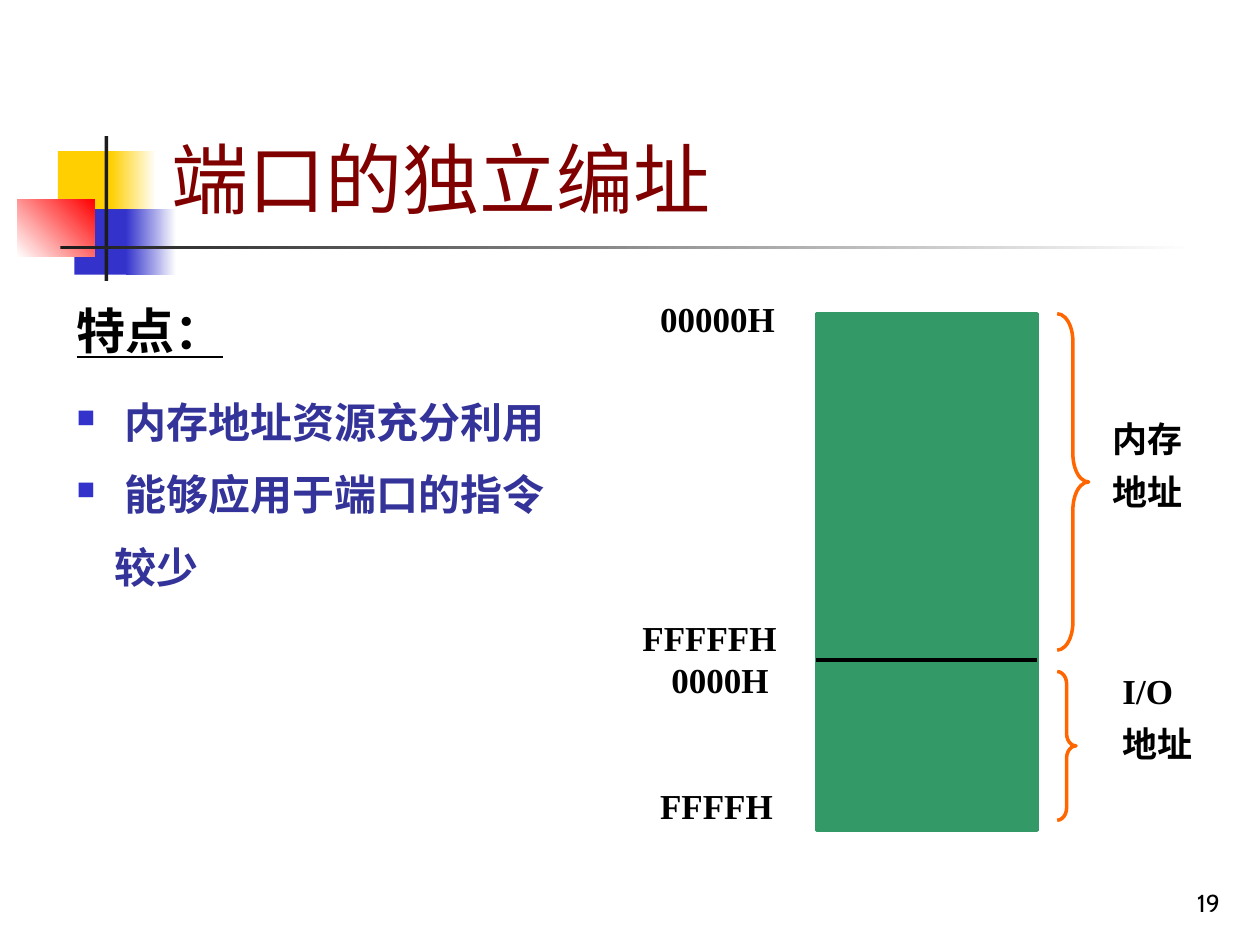
from typing import NamedTuple, Optional

from lxml.etree import SubElement
from pptx import Presentation
from pptx.dml.color import RGBColor
from pptx.enum.shapes import MSO_CONNECTOR, MSO_SHAPE
from pptx.enum.text import MSO_ANCHOR, PP_ALIGN
from pptx.oxml.ns import qn
from pptx.util import Inches, Pt

COLORS = {
    "white": "FFFFFF", "black": "000000", "charcoal": "1C1C1C",
    "yellow": "FFCF01", "blue": "3333CC", "red": "FF0000",
    "maroon": "800000", "indigo": "333399", "green": "339966", "orange": "FF6600",
}
SERIF = "Times New Roman"


class Block(NamedTuple):
    left: float
    top: float
    width: float
    height: float
    color: str
    fade_to: Optional[str] = None
    angle: float = 0


class Brace(NamedTuple):
    top: float
    width: float
    height: float
    curve: float


class Label(NamedTuple):
    left: float
    top: float
    width: float
    height: float
    lines: tuple


ORNAMENT = (
    Block(0.46, 1.2, 0.48, 0.52, "yellow"),
    Block(0.88, 1.2, 0.36, 0.52, "yellow", "white"),
    Block(0.59, 1.66, 0.46, 0.52, "blue"),
    Block(1, 1.66, 0.4, 0.52, "blue", "white"),
    Block(0.14, 1.58, 0.61, 0.46, "white", "red", 45),
    Block(0.83, 1.08, 0.03, 1.15, "charcoal"),
    Block(0.48, 1.95, 9, 0.03, "charcoal", "white"),
)
BRACES = (Brace(2.49, 0.25, 2.67, 0.883), Brace(5.33, 0.15, 1.18, 0.647))
LABELS = (
    Label(8.73, 3.33, 0.92, 0.8, ("内存", "地址")),
    Label(8.81, 5.33, 0.92, 0.8, ("I/O", "地址")),
    Label(5.14, 2.38, 1.34, 0.37, ("00000H",)),
    Label(5, 4.91, 1.59, 0.37, ("FFFFFH",)),
    Label(5.14, 6.24, 1.42, 0.37, ("FFFFH",)),
    Label(5.23, 5.24, 1.25, 0.37, ("0000H",)),
)


def rgb(name: str) -> RGBColor:
    """Return the named colour."""
    return RGBColor.from_string(COLORS[name])


def add_block(slide, block: Block):
    """Draw a borderless rectangle, solid or fading to a second colour."""
    shape = slide.shapes.add_shape(
        MSO_SHAPE.RECTANGLE, Inches(block.left), Inches(block.top),
        Inches(block.width), Inches(block.height))
    shape.shadow.inherit = False
    shape.line.fill.background()
    if block.fade_to is None:
        shape.fill.solid()
        shape.fill.fore_color.rgb = rgb(block.color)
    else:
        shape.fill.gradient()
        shape.fill.gradient_angle = block.angle
        for stop, name in zip(shape.fill.gradient_stops, (block.color, block.fade_to)):
            stop.color.rgb = rgb(name)
    return shape


def add_brace(slide, brace: Brace) -> None:
    """Draw a right brace beside the memory column."""
    shape = slide.shapes.add_shape(
        MSO_SHAPE.RIGHT_BRACE, Inches(8.39), Inches(brace.top),
        Inches(brace.width), Inches(brace.height))
    shape.shadow.inherit = False
    shape.adjustments[0] = brace.curve
    shape.fill.background()
    shape.line.color.rgb = rgb("orange")
    shape.line.width = Pt(2)


def add_text_box(slide, left: float, top: float, width: float, height: float,
                 anchor=MSO_ANCHOR.TOP):
    """Add a wrapping text box and return its text frame."""
    box = slide.shapes.add_textbox(Inches(left), Inches(top), Inches(width), Inches(height))
    box.text_frame.word_wrap = True
    box.text_frame.vertical_anchor = anchor
    return box.text_frame


def add_paragraph(frame, text: str, *, size: float, color: str, font: str = "Arial",
                  bold: bool = False, underline: bool = False, align=PP_ALIGN.LEFT,
                  spacing: float = 1, before: float = 0, after: float = 0,
                  margin: float = 0, bullet: bool = False) -> None:
    """Write one formatted paragraph, reusing the empty first one."""
    first = frame.paragraphs[0]
    paragraph = frame.add_paragraph() if first.runs else first
    paragraph.alignment = align
    paragraph.line_spacing = spacing
    paragraph.space_before = Pt(before)
    paragraph.space_after = Pt(after)
    properties = paragraph._p.get_or_add_pPr()
    properties.set("marL", str(Inches(margin)))
    properties.set("indent", str(-Inches(margin) if bullet else 0))
    if bullet:
        bullet_color = SubElement(properties, qn("a:buClr"))
        SubElement(bullet_color, qn("a:srgbClr"), val=COLORS["blue"])
        SubElement(properties, qn("a:buSzPct"), val="60000")
        SubElement(properties, qn("a:buChar"), char="■")
    run = paragraph.add_run()
    run.text = text
    run.font.name = font
    run.font.size = Pt(size)
    run.font.bold = bold
    run.font.underline = underline
    run.font.color.rgb = rgb(color)


def add_label(slide, label: Label) -> None:
    """Write an address label of one or more lines."""
    frame = add_text_box(slide, label.left, label.top, label.width, label.height)
    for index, line in enumerate(label.lines):
        add_paragraph(frame, line, size=20, color="black", font=SERIF, bold=True,
                      spacing=0.8, before=11 if index else 0)


def add_features(slide) -> None:
    """Write the heading and the list of features."""
    frame = add_text_box(slide, 0.51, 2.29, 4.2, 3.19)
    add_paragraph(frame, "特点：", size=28, color="black", bold=True, underline=True,
                  spacing=1.1, after=9.7)
    for text, margin, bullet in (
        ("内存地址资源充分利用", 0.38, True),
        ("能够应用于端口的指令", 0.38, True),
        ("较少", 0.3, False),
    ):
        add_paragraph(frame, text, size=24, color="indigo", bold=True, spacing=1.2,
                      before=5.5, after=1.4, margin=margin, bullet=bullet)


def add_memory_map(slide) -> None:
    """Draw the address column with its divider, braces and labels."""
    column = add_block(slide, Block(6.48, 2.49, 1.75, 4.1, "green"))
    column.line.color.rgb = rgb("green")
    column.line.width = Pt(2)
    divider = slide.shapes.add_connector(
        MSO_CONNECTOR.STRAIGHT, Inches(6.48), Inches(5.24), Inches(8.23), Inches(5.24))
    divider.line.color.rgb = rgb("black")
    divider.line.width = Pt(2)
    SubElement(divider._element.spPr, qn("a:effectLst"))
    for brace in BRACES:
        add_brace(slide, brace)
    for label in LABELS:
        add_label(slide, label)


def main() -> None:
    """Build and save the slide."""
    presentation = Presentation()
    presentation.slide_width = Inches(10)
    presentation.slide_height = Inches(7.5)
    slide = presentation.slides.add_slide(presentation.slide_layouts[6])
    for block in ORNAMENT:
        add_block(slide, block)
    number = add_text_box(slide, 7.7, 6.83, 2.08, 0.5, MSO_ANCHOR.BOTTOM)
    add_paragraph(number, "19", size=14, color="black", font="Cabin", align=PP_ALIGN.RIGHT)
    title = add_text_box(slide, 1.26, 0.23, 8.52, 1.6, MSO_ANCHOR.BOTTOM)
    add_paragraph(title, "端口的独立编址", size=44, color="maroon")
    add_features(slide)
    add_memory_map(slide)
    presentation.save("out.pptx")


if __name__ == "__main__":
    main()
